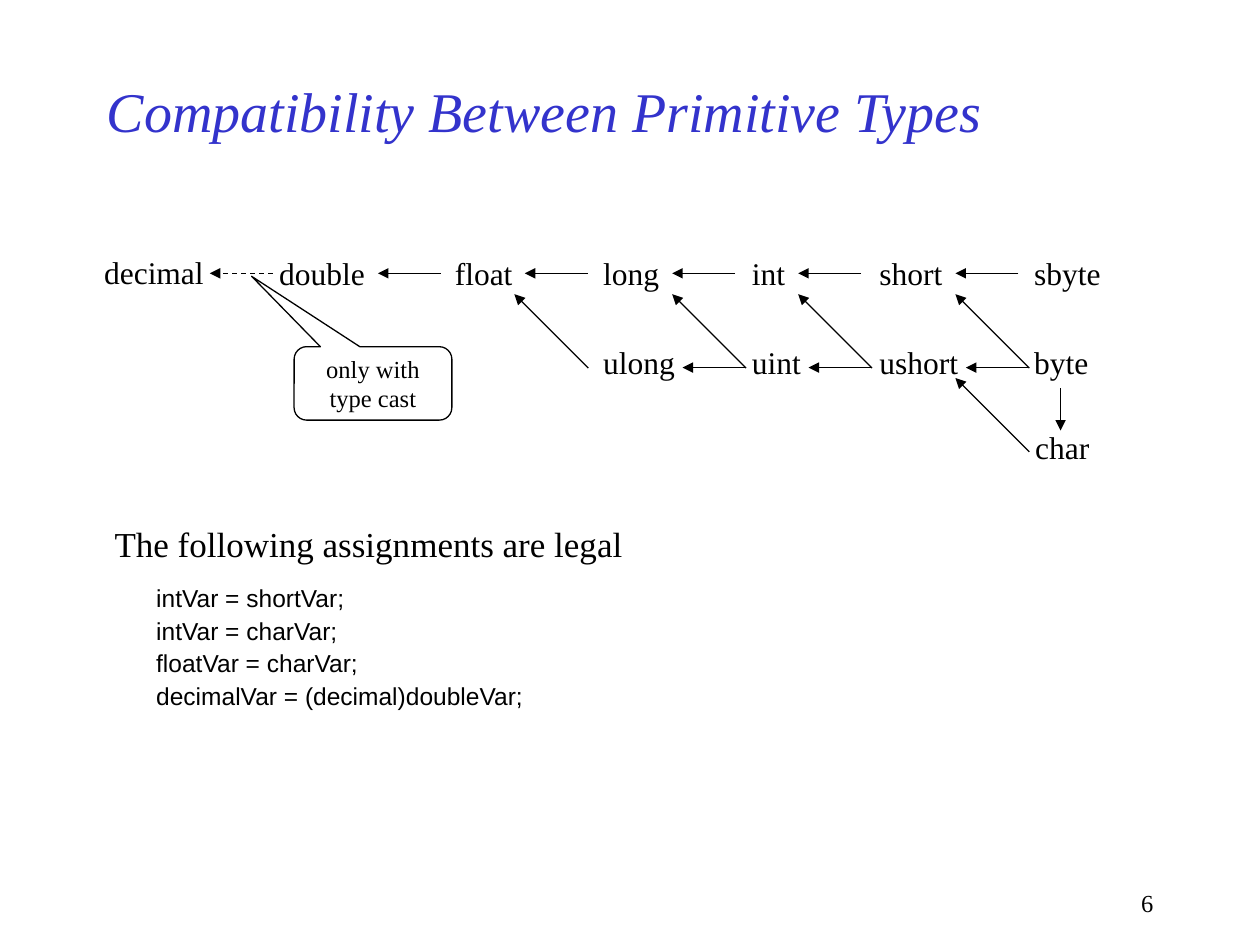
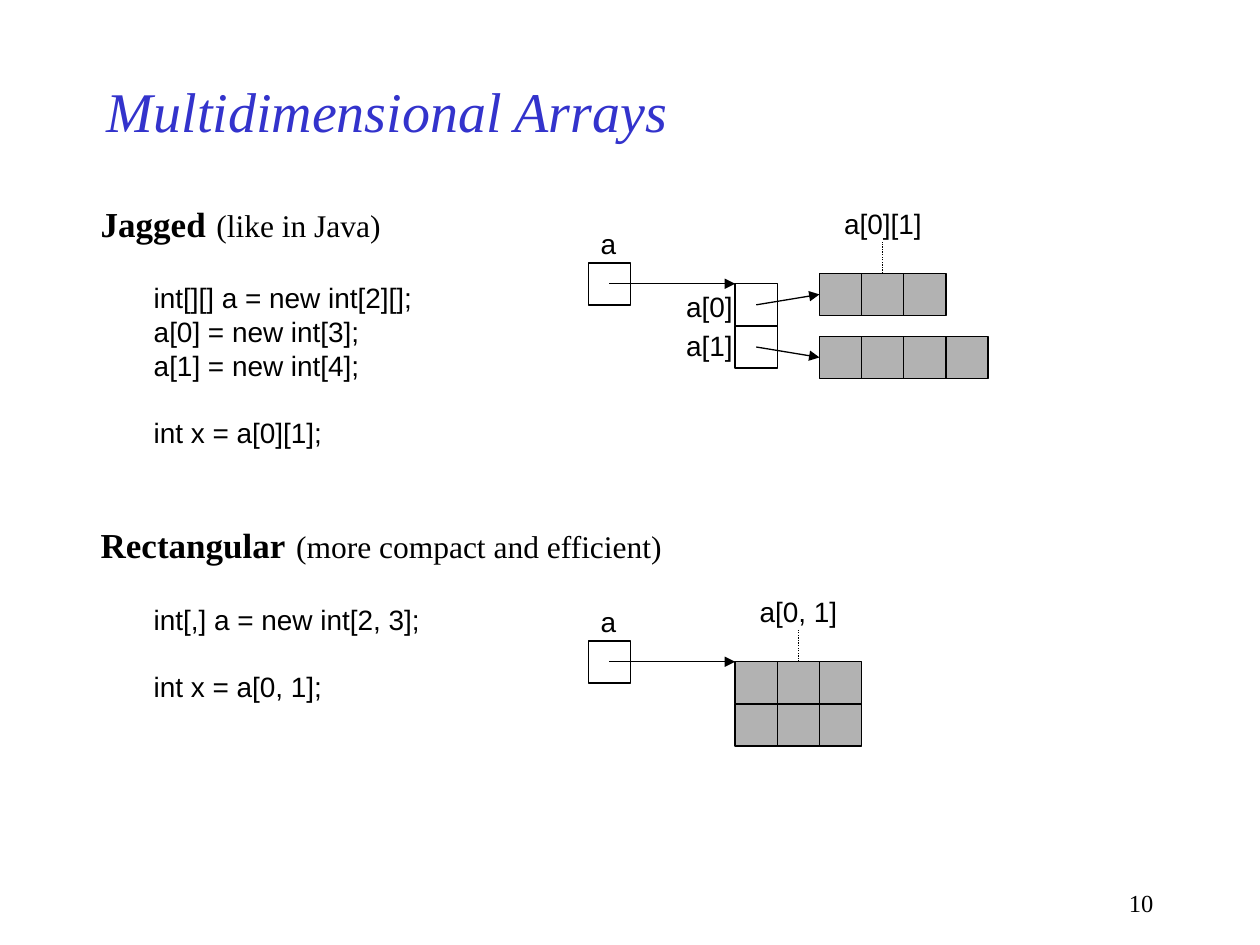
import pptx
import pptx.dml.color
import pptx.enum.dml
import pptx.enum.shapes
import pptx.enum.text
import pptx.oxml.ns
import pptx.util
from lxml import etree

Cm = pptx.util.Cm
Pt = pptx.util.Pt
Dash = pptx.enum.dml.MSO_LINE
Shape = pptx.enum.shapes.MSO_SHAPE
Align = pptx.enum.text.PP_ALIGN
Anchor = pptx.enum.text.MSO_ANCHOR
AutoSize = pptx.enum.text.MSO_AUTO_SIZE
qn = pptx.oxml.ns.qn

TITLE_BLUE = pptx.dml.color.RGBColor(0x33, 0x33, 0xCC)
BLACK = pptx.dml.color.RGBColor(0, 0, 0)
ELEMENT_GRAY = pptx.dml.color.RGBColor(0xB2, 0xB2, 0xB2)
SERIF = "Times New Roman"
SANS = "Arial"
LINE_WIDTH = Pt(0.75)
TEXT_SLACK = 0.05
CELL = 0.85
TITLE_ONLY = 5

TYPE_LABELS = [
    ("decimal", 0, -0.03, 2.51), ("double", 3.53, 0, 2.24), ("float", 7.07, 0, 1.68),
    ("long", 10.06, 0, 1.63), ("int", 13.06, 0, 1.17), ("short", 15.63, 0, 1.78),
    ("sbyte", 18.75, 0, 1.85), ("ulong", 10.06, 1.8, 1.96), ("uint", 13.06, 1.8, 1.5),
    ("ushort", 15.63, 1.8, 2.08), ("byte", 18.75, 1.8, 1.6), ("char", 18.77, 3.5, 1.6),
]
TOP_TIPS = [5.77, 8.73, 11.7, 14.24, 17.41]
LOWER_TIPS = [11.91, 14.45, 17.62]
DIAGONAL_TIPS = [(8.52, 0.93), (11.7, 0.93), (14.24, 0.93), (17.41, 0.93), (17.41, 2.62)]


def style_paragraph(para, font, size, color=BLACK, align=Align.LEFT):
    """Set the font and alignment of a whole paragraph."""
    para.font.name = font
    para.font.size = Pt(size)
    para.font.color.rgb = color
    para.alignment = align


def add_text(page, lines, left, top, width, height, font, size):
    """Add a text box that does not wrap, one paragraph per line."""
    box = page.shapes.add_textbox(Cm(left), Cm(top), Cm(width + TEXT_SLACK), Cm(height))
    frame = box.text_frame
    frame.word_wrap = False
    frame.auto_size = AutoSize.SHAPE_TO_FIT_TEXT
    frame.text = "\n".join(lines)
    for para in frame.paragraphs:
        style_paragraph(para, font, size)
    return frame


def add_line(page, start, end, dash=None, arrow=True):
    """Draw a thin black line, with an arrowhead at its end by default."""
    points = [Cm(value) for value in (*start, *end)]
    connector = page.shapes.add_connector(pptx.enum.shapes.MSO_CONNECTOR.STRAIGHT, *points)
    line = connector.line
    line.width = LINE_WIDTH
    line.color.rgb = BLACK
    if dash is not None:
        line.dash_style = dash
    properties = connector.element.spPr
    if arrow:
        etree.SubElement(properties.find(qn("a:ln")), qn("a:tailEnd"), type="triangle")
    etree.SubElement(properties, qn("a:effectLst"))


def add_outlined(page, kind, left, top, width, height, fill=None):
    """Add a preset shape with a thin black outline."""
    shape = page.shapes.add_shape(kind, Cm(left), Cm(top), Cm(width), Cm(height))
    shape.shadow.inherit = False
    shape.line.color.rgb = BLACK
    shape.line.width = LINE_WIDTH
    if fill is None:
        shape.fill.background()
    else:
        shape.fill.solid()
        shape.fill.fore_color.rgb = fill
    return shape


def add_page(deck, title, number):
    """Add a slide with its title and page number."""
    page = deck.slides.add_slide(deck.slide_layouts[TITLE_ONLY])
    heading = page.shapes.title
    heading.left, heading.top, heading.width, heading.height = Cm(1.9), Cm(1.27), Cm(19.05), Cm(1.9)
    frame = heading.text_frame
    frame.text = title
    frame.vertical_anchor = Anchor.MIDDLE
    frame.auto_size = AutoSize.NONE
    style_paragraph(frame.paragraphs[0], SERIF, 32, TITLE_BLUE)
    frame.paragraphs[0].font.italic = True
    footer = page.shapes.add_textbox(Cm(18.2), Cm(17.78), Cm(5.3), Cm(0.85)).text_frame
    footer.word_wrap = True
    footer.text = str(number)
    style_paragraph(footer.paragraphs[0], SERIF, 14, align=Align.RIGHT)
    return page


def draw_type_graph(page, left, top):
    """Draw the graph of implicit conversions between primitive types."""
    def arrow(x, y, dx, dy, dash=None):
        """Draw an arrow to a tip from a point offset from it."""
        add_line(page, (left + x + dx, top + y + dy), (left + x, top + y), dash)

    for name, x, y, width in TYPE_LABELS:
        add_text(page, [name], left + x, top + y, width, 1.01, SERIF, 18)
    arrow(2.38, 0.51, 1.27, 0, Dash.DASH)
    for tips, y in ((TOP_TIPS, 0.51), (LOWER_TIPS, 2.41)):
        for x in tips:
            arrow(x, y, 1.27, 0)
    for x, y in DIAGONAL_TIPS:
        arrow(x, y, 1.49, 1.49)
    arrow(19.53, 3.68, 0, -0.85)
    draw_cast_note(page, left + 4.08, top + 1.99)


def draw_cast_note(page, left, top):
    """Draw the callout that points at the dashed arrow."""
    note = add_outlined(page, Shape.ROUNDED_RECTANGULAR_CALLOUT, left, top, 3.18, 1.48)
    for index, value in enumerate((-0.77, -1.46, 0.17)):
        note.adjustments[index] = value
    frame = note.text_frame
    frame.word_wrap = False
    frame.vertical_anchor = Anchor.MIDDLE
    para = frame.paragraphs[0]
    para.text = "only with\vtype cast"
    style_paragraph(para, SERIF, 14, align=Align.CENTER)


def draw_assignments(page, left, top):
    """Write the list of legal assignments."""
    add_text(page, ["The following assignments are legal"], left, top, 10.74, 1.12, SERIF, 20)
    code = add_text(page, [
        "intVar = shortVar;",
        "intVar = charVar;",
        "floatVar = charVar;",
        "decimalVar = (decimal)doubleVar;",
    ], left + 0.84, top + 1.22, 7.98, 2.82, SANS, 14)
    for para in code.paragraphs:
        para.space_before = Pt(1.8)


def draw_section(page, left, top, name, remark, heading_width, lines, code_width, code_height):
    """Write a heading with a remark, and code whose last line stands apart."""
    heading = add_text(page, [""], left, top, heading_width, 1.27, SERIF, 18)
    para = heading.paragraphs[0]
    for text, size, bold in ((name, 20, True), (" ", 24, False), (remark, 18, False)):
        span = para.add_run()
        span.text = text
        span.font.size = Pt(size)
        span.font.bold = bold
    code = add_text(page, lines, left + 1.07, top + 1.73, code_width, code_height, SANS, 16)
    code.paragraphs[-1].space_before = Pt(19.2)


def draw_cells(page, left, top, rows, columns, fill=None):
    """Draw a grid of square memory cells."""
    for row in range(rows):
        for column in range(columns):
            add_outlined(page, Shape.RECTANGLE, left + column * CELL, top + row * CELL,
                         CELL, CELL, fill)


def draw_reference(page, left, top):
    """Draw the variable a and the arrow to its array."""
    add_text(page, ["a"], left, top, 0.81, 0.93, SANS, 16)
    draw_cells(page, left, top + 0.85, 1, 1)
    add_line(page, (left + CELL / 2, top + 1.27), (left + 2.96, top + 1.27))


def draw_element_label(page, left, top, text):
    """Label the second element of the row that starts at the given corner."""
    center = left + 1.5 * CELL
    add_text(page, [text], center - 1.03, top - 1.48, 2.06, 0.93, SANS, 16)
    add_line(page, (center, top), (center, top - 0.63), Dash.ROUND_DOT, arrow=False)


def draw_jagged_array(page, left, top):
    """Draw an array of references to rows of different lengths."""
    draw_reference(page, left, top)
    array_left, array_top, rows_left = left + 2.96, top + 1.27, left + 4.66
    draw_cells(page, array_left, array_top, 2, 1)
    for index, (length, row_offset, label_offset) in enumerate(((3, 1.06, 1.27), (4, 2.33, 2.04))):
        row_top = top + row_offset
        draw_cells(page, rows_left, row_top, 1, length, ELEMENT_GRAY)
        add_text(page, [f"a[{index}]"], left + 1.72, top + label_offset, 1.45, 0.93, SANS, 16)
        add_line(page, (array_left + CELL / 2, array_top + (index + 0.5) * CELL),
                 (rows_left, row_top + CELL / 2))
    draw_element_label(page, rows_left, top + 1.06, "a[0][1]")


def draw_rectangular_array(page, left, top):
    """Draw an array stored as one block of cells."""
    draw_cells(page, left + 2.96, top + 1.27, 2, 3, ELEMENT_GRAY)
    draw_reference(page, left, top)
    draw_element_label(page, left + 2.96, top + 1.27, "a[0, 1]")


def build_types_page(deck):
    """Build the slide on compatibility of types."""
    page = add_page(deck, "Compatibility Between Primitive Types", 6)
    draw_type_graph(page, 1.85, 5)
    draw_assignments(page, 2.06, 10.41)


def build_arrays_page(deck):
    """Build the slide on multidimensional arrays."""
    page = add_page(deck, "Multidimensional Arrays", 10)
    draw_section(page, 1.78, 3.81, "Jagged", "(like in Java)", 6.15, [
        "int[][] a = new int[2][];",
        "a[0] = new int[3];",
        "a[1] = new int[4];",
        "int x = a[0][1];",
    ], 5.72, 3.66)
    draw_jagged_array(page, 11.86, 4.45)
    draw_section(page, 1.78, 10.29, "Rectangular", "(more compact and efficient)", 11.84, [
        "int[,] a = new int[2, 3];",
        "int x = a[0, 1];",
    ], 5.87, 2.29)
    draw_rectangular_array(page, 11.86, 12.07)


def main():
    """Build and save the deck."""
    deck = pptx.Presentation()
    deck.slide_width, deck.slide_height = Cm(25.4), Cm(19.05)
    build_types_page(deck)
    build_arrays_page(deck)
    deck.save("out.pptx")


if __name__ == "__main__":
    main()
